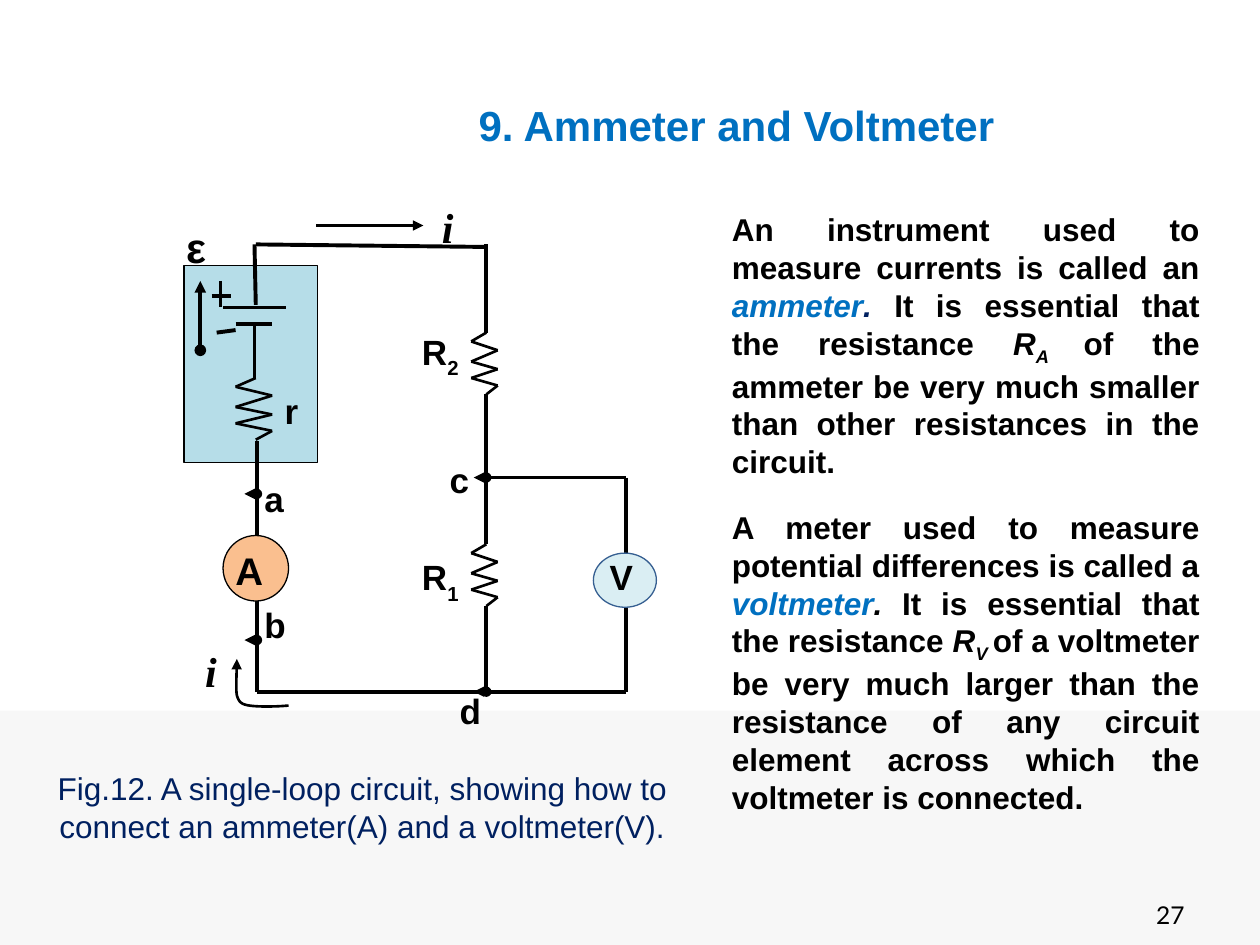
"""Build a slide on connecting an ammeter and a voltmeter in a circuit."""
from dataclasses import dataclass
from itertools import pairwise

from lxml import etree
from pptx import Presentation
from pptx.dml.color import RGBColor
from pptx.enum.shapes import MSO_CONNECTOR, MSO_SHAPE
from pptx.enum.text import MSO_ANCHOR, PP_ALIGN
from pptx.oxml.ns import qn
from pptx.util import Inches, Pt

STRAIGHT = MSO_CONNECTOR.STRAIGHT
RECT, OVAL = MSO_SHAPE.RECTANGLE, MSO_SHAPE.OVAL
LEFT, CENTER, RIGHT, JUSTIFY = PP_ALIGN.LEFT, PP_ALIGN.CENTER, PP_ALIGN.RIGHT, PP_ALIGN.JUSTIFY
TOP, MIDDLE = MSO_ANCHOR.TOP, MSO_ANCHOR.MIDDLE


@dataclass(frozen=True)
class Theme:
    ink: str = "000000"
    accent: str = "0070C0"
    navy: str = "002060"
    band: str = "F7F7F7"
    battery: str = "B6DDE8"
    ammeter: str = "FABF8F"
    voltmeter: str = "DAEEF3"
    voltmeter_line: str = "365F91"
    font: str = "Arial"
    symbol_font: str = "Times New Roman"
    number_font: str = "Lato"
    title: int = 24
    symbol: int = 24
    meter: int = 22
    label: int = 20
    body: int = 18
    number: int = 14
    wire: float = 2.25
    thin: float = 1.5
    hair: float = 0.75


T = Theme()
BOLD = {"name": T.font, "size": Pt(T.label), "bold": True, "color": T.ink}
BODY = BOLD | {"size": Pt(T.body)}
SYMBOL = BOLD | {"size": Pt(T.symbol)}
CURRENT = SYMBOL | {"name": T.symbol_font, "italic": True}
ITALIC = {"italic": True}
TERM = ITALIC | {"color": T.accent}
SUB = ITALIC | {"baseline": -25000}
INDEX = {"baseline": -30000}

BODY_PARAGRAPHS = [
    [("An instrument used to measure currents is called an ", {}), ("ammeter", TERM),
     (". ", ITALIC | {"color": T.navy}), ("It is essential that the resistance ", {}),
     ("R", ITALIC), ("A ", SUB),
     ("of the ammeter be very much smaller than other resistances in the circuit.", {})],
    [("A meter used to measure potential differences is called a ", {}), ("voltmeter", TERM),
     (". ", ITALIC), ("It is essential that the resistance ", {}),
     ("R", ITALIC), ("V ", SUB),
     ("of a voltmeter be very much larger than the resistance of any circuit element "
      "across which the voltmeter is connected.", {})],
]

LEFT_X, MID_X, RIGHT_X = 2.04, 3.86, 4.97
TOP_Y, NODE_Y, BOTTOM_Y = 1.94, 3.79, 5.49
ZIGZAG_Y = (0, 0.07, 0.14, 0.23, 0.29, 0.36, 0.42, 0.49)
WIRES = [
    (LEFT_X, BOTTOM_Y, RIGHT_X, BOTTOM_Y), (MID_X, NODE_Y, RIGHT_X, NODE_Y),
    (RIGHT_X, NODE_Y, RIGHT_X, BOTTOM_Y), (2.03, TOP_Y, MID_X, 1.96),
    (MID_X, TOP_Y, MID_X, 2.64), (MID_X, 3.13, MID_X, 4.32), (MID_X, 4.81, MID_X, BOTTOM_Y),
    (2.03, 2.42, 2.02, TOP_Y), (2.02, 2.57, 2.02, 3), (LEFT_X, 3.5, LEFT_X, BOTTOM_Y),
    (1.87, 2.57, 2.16, 2.57), (1.72, 2.64, 1.87, 2.62),
    (1.68, 2.35, 1.83, 2.35), (1.75, 2.23, 1.75, 2.44),
]
RESISTORS = [(MID_X, 2.64, 3.74, 3.95), (MID_X, 4.32, 3.74, 3.95), (2.03, 3, 1.87, 2.16)]
NODES = [(MID_X, NODE_Y), (MID_X, BOTTOM_Y), (LEFT_X, 5.08), (LEFT_X, 3.92)]
LOOP_CURVES = [
    ((2.29, 5.6), (2.17, 5.61), (2.05, 5.61), (1.98, 5.6)),
    ((1.98, 5.6), (1.92, 5.59), (1.9, 5.58), (1.88, 5.52)),
    ((1.88, 5.52), (1.87, 5.46), (1.88, 5.34), (1.88, 5.23)),
]
LABELS = [
    ((1.77, 4.29, 0.47, 0.47), [("A", {})], BOLD | {"size": Pt(T.meter)}),
    ((4.74, 4.36, 0.39, 0.44), [("V", {})], BOLD),
    ((1.38, 1.71, 0.36, 0.51), [("ε", {})], SYMBOL),
    ((3.41, 1.55, 0.3, 0.51), [("i", {})], CURRENT),
    ((1.53, 5.07, 0.3, 0.51), [("i", {})], CURRENT),
    ((2.16, 3.04, 0.31, 0.44), [("r", {})], BOLD),
    ((3.25, 2.57, 0.51, 0.44), [("R", {}), ("2", INDEX)], BOLD),
    ((3.25, 4.36, 0.51, 0.44), [("R", {}), ("1", INDEX)], BOLD),
    ((2, 3.74, 0.37, 0.44), [("a", {})], BOLD),
    ((2, 4.74, 0.38, 0.44), [("b", {})], BOLD),
    ((3.47, 3.59, 0.37, 0.44), [("c", {})], BOLD),
    ((3.55, 5.42, 0.38, 0.44), [("d", {})], BOLD),
]


def set_line(sp, width, color=T.ink, head=None, tail=None):
    """Colour an outline and give it optional end marks."""
    sp.line.color.rgb = RGBColor.from_string(color)
    sp.line.width = Pt(width)
    ln = sp.line._get_or_add_ln()
    for tag, kind in (("a:headEnd", head), ("a:tailEnd", tail)):
        if kind:
            etree.SubElement(ln, qn(tag), type=kind)


def add_line(s, ends, width, head=None, tail=None):
    """Add a straight line between two points."""
    sp = s.shapes.add_connector(STRAIGHT, *map(Inches, ends))
    set_line(sp, width, head=head, tail=tail)
    etree.SubElement(sp._element.spPr, qn("a:effectLst"))


def add_filled(s, kind, box, fill, line=None):
    """Add a filled preset shape."""
    sp = s.shapes.add_shape(kind, *map(Inches, box))
    sp.shadow.inherit = False
    sp.fill.solid()
    sp.fill.fore_color.rgb = RGBColor.from_string(fill)
    if line:
        set_line(sp, T.hair, line)
    else:
        sp.line.fill.background()


def add_resistor(s, x, y, left, right):
    """Add a zigzag running down from a point."""
    xs = (x, *(left, right) * 3, x)
    points = [(px, y + dy) for px, dy in zip(xs, ZIGZAG_Y)]
    for start, end in pairwise(points):
        add_line(s, start + end, T.thin)


def add_curved_arrow(s, curves, steps=8):
    """Add an open arrow along joined cubic curves."""
    points = [curves[0][0]]
    for curve in curves:
        for k in range(1, steps + 1):
            t = k / steps
            weights = ((1 - t) ** 3, 3 * t * (1 - t) ** 2, 3 * t * t * (1 - t), t ** 3)
            points.append(tuple(sum(w * v for w, v in zip(weights, axis)) for axis in zip(*curve)))
    points = [(Inches(x), Inches(y)) for x, y in points]
    builder = s.shapes.build_freeform(*points[0])
    builder.add_line_segments(points[1:], close=False)
    sp = builder.convert_to_shape()
    sp.shadow.inherit = False
    sp.fill.background()
    set_line(sp, T.thin, tail="triangle")


def add_run(p, text, fmt):
    """Add a run with the given format values."""
    r = p.add_run()
    r.text = text
    for key, value in fmt.items():
        if key == "color":
            r.font.color.rgb = RGBColor.from_string(value)
        elif key == "baseline":
            r._r.get_or_add_rPr().set(key, str(value))
        else:
            setattr(r.font, key, value)


def add_text(s, box, paragraphs, fmt, align=LEFT, anchor=TOP, wrap=True):
    """Add a text box of paragraphs made of formatted runs."""
    tf = s.shapes.add_textbox(*map(Inches, box)).text_frame
    tf.word_wrap = wrap
    tf.vertical_anchor = anchor
    for i, runs in enumerate(paragraphs):
        p = tf.add_paragraph() if i else tf.paragraphs[0]
        p.alignment = align
        if i:
            p.space_before = Pt(16)
        for text, extra in runs:
            add_run(p, text, fmt | extra)


def add_circuit(s):
    """Draw the circuit with its meters and labels."""
    add_filled(s, RECT, (1.46, 2.11, 1.06, 1.56), T.battery, T.ink)
    for ends in WIRES:
        add_line(s, ends, T.wire)
    add_line(s, (1.77, 2.44, 2.27, 2.44), T.thin)
    add_line(s, (1.59, 2.78, 1.59, 2.23), T.wire, "oval", "triangle")
    add_line(s, (2.51, 1.79, 3.36, 1.79), T.thin, tail="triangle")
    for resistor in RESISTORS:
        add_resistor(s, *resistor)
    for x, y in NODES:
        add_line(s, (x, y, x - 0.1, y), T.hair, "oval", "triangle")
    add_filled(s, OVAL, (4.71, 4.39, 0.5, 0.43), T.voltmeter, T.voltmeter_line)
    add_filled(s, OVAL, (1.77, 4.25, 0.52, 0.52), T.ammeter, T.ink)
    add_curved_arrow(s, LOOP_CURVES)
    for box, runs, fmt in LABELS:
        add_text(s, box, [runs], fmt, wrap=box[2] == 0.47)


def main():
    """Build and save the slide."""
    prs = Presentation()
    prs.slide_width, prs.slide_height = Inches(10), Inches(7.5)
    s = prs.slides.add_slide(prs.slide_layouts[6])
    add_filled(s, RECT, (0, 5.64, 10, 1.86), T.band)
    add_text(s, (3.7, 0.74, 4.44, 0.51), [[("9. Ammeter and Voltmeter", {})]],
             BOLD | {"size": Pt(T.title), "color": T.accent}, wrap=False)
    add_text(s, (5.71, 1.62, 3.91, 4.88), BODY_PARAGRAPHS, BODY, JUSTIFY)
    add_circuit(s)
    caption = ("Fig.12. A single-loop circuit, showing how to connect "
               "an ammeter(A) and a voltmeter(V).")
    add_text(s, (0.34, 6.05, 5.07, 0.71), [[(caption, {})]],
             BODY | {"bold": False, "color": T.navy}, CENTER, MIDDLE)
    add_text(s, (7.17, 7.06, 2.33, 0.4), [[("27", {})]],
             {"name": T.number_font, "size": Pt(T.number), "color": T.ink}, RIGHT, MIDDLE)
    prs.save("out.pptx")


if __name__ == "__main__":
    main()
